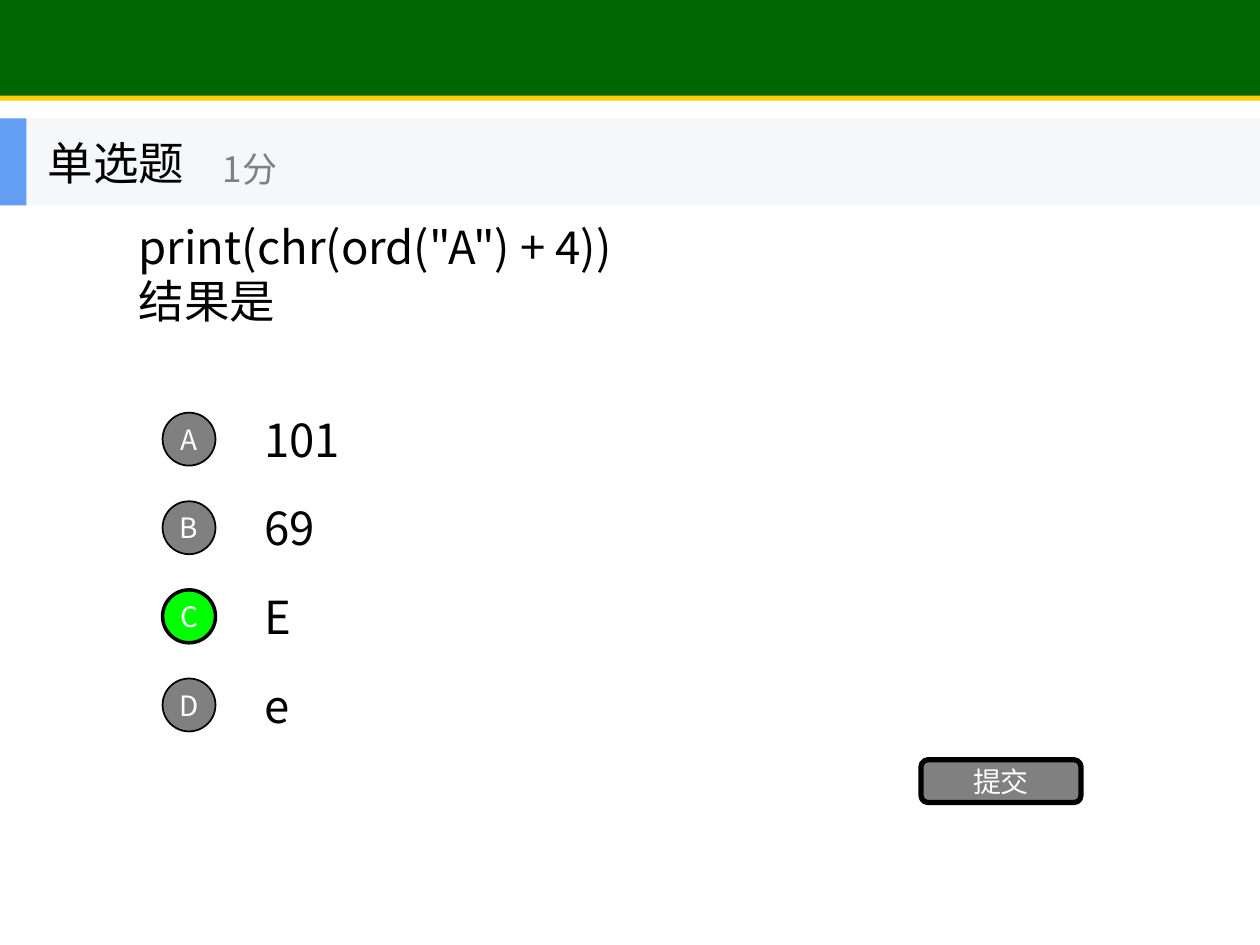
from lxml import etree
from pptx import Presentation
from pptx.dml.color import RGBColor
from pptx.enum.shapes import MSO_SHAPE
from pptx.enum.text import MSO_ANCHOR, MSO_AUTO_SIZE, PP_ALIGN
from pptx.oxml.ns import qn
from pptx.util import Inches, Pt

RECT, OVAL, ROUND = MSO_SHAPE.RECTANGLE, MSO_SHAPE.OVAL, MSO_SHAPE.ROUNDED_RECTANGLE
LEFT, CENTER, MIDDLE = PP_ALIGN.LEFT, PP_ALIGN.CENTER, MSO_ANCHOR.MIDDLE
FIXED = MSO_AUTO_SIZE.NONE

BLACK = RGBColor(0, 0, 0)
WHITE = RGBColor(255, 255, 255)
GRAY = RGBColor(128, 128, 128)
GREEN = RGBColor(0, 102, 0)
GOLD = RGBColor(255, 204, 0)
LIME = RGBColor(0, 255, 0)
PALE = RGBColor(246, 247, 248)
BLUE = RGBColor(99, 158, 244)
FONT = "Noto Sans CJK SC"

# Content
QUESTION = ['print(chr(ord("A") + 4))', "结果是"]
CHOICES = [("A", "101"), ("B", "69"), ("C", "E"), ("D", "e")]
ANSWER = "C"
KIND, SCORE, SUBMIT = "单选题", "1分", "提交"

# Grid
WIDE, HIGH = 10, 7.5
BAND, BAND_H = 0.94, 0.69
ROW, LAST, ROW_H = 3.22, 5.33, 0.53
STEP = (LAST - ROW) / (len(CHOICES) - 1)
DOT = 0.42

prs = Presentation()
prs.slide_width, prs.slide_height = Inches(WIDE), Inches(HIGH)
slide = prs.slides.add_slide(prs.slide_layouts[5])


def write(shape, lines, size, color, align=LEFT, inset=None):
    frame = shape.text_frame
    frame.text = "\n".join(lines)
    look = {"word_wrap": True, "auto_size": FIXED, "vertical_anchor": MIDDLE}
    if inset is not None:
        look.update(margin_left=inset, margin_right=inset,
                    margin_top=inset, margin_bottom=inset)
    for key, value in look.items():
        setattr(frame, key, value)
    for para in frame.paragraphs:
        para.alignment = align
        for run in para.runs:
            for key, value in {"name": FONT, "size": Pt(size)}.items():
                setattr(run.font, key, value)
            run.font.color.rgb = color
            east = etree.SubElement(run.font._element, qn("a:ea"))
            east.set("typeface", FONT)


def label(box, text, size=26, color=BLACK):
    shape = slide.shapes.add_textbox(*map(Inches, box))
    write(shape, [text], size, color)


def block(kind, box, fill, line=0, text=None):
    shape = slide.shapes.add_shape(kind, *map(Inches, box))
    shape.shadow.inherit = False
    shape.fill.solid()
    shape.fill.fore_color.rgb = fill
    if line:
        shape.line.color.rgb = BLACK
        shape.line.width = Pt(line)
    else:
        shape.line.fill.background()
    if text:
        write(shape, [text], 16, WHITE, CENTER, 0)


# Top banner and question band
block(RECT, (0, 0, WIDE, 0.79), GREEN)
block(RECT, (0, 0.76, WIDE, 0.04), GOLD)
block(RECT, (0, BAND, WIDE, BAND_H), PALE)
block(RECT, (0, BAND, 0.21, BAND_H), BLUE)
label((0.28, BAND, 2.08, BAND_H), KIND)
label((1.67, 1.06, 2.5, 0.56), SCORE, 20, GRAY)

# Question
title = slide.shapes.title
spot = dict(zip(("left", "top", "width", "height"), (1, 1.29, 8, 1.76)))
for key, value in spot.items():
    setattr(title, key, Inches(value))
write(title, QUESTION, 26, BLACK)

# Choices, the right one marked
for i, (mark, text) in enumerate(CHOICES):
    top = ROW + i * STEP
    right = mark == ANSWER
    label((2, top, 7, ROW_H), text)
    block(OVAL, (1.29, top + (ROW_H - DOT) / 2, DOT, DOT),
          LIME if right else GRAY, 2 if right else 1, mark)

# Submit button
block(ROUND, (7.31, 6.03, 1.27, 0.34), GRAY, 3, SUBMIT)

prs.save("out.pptx")
